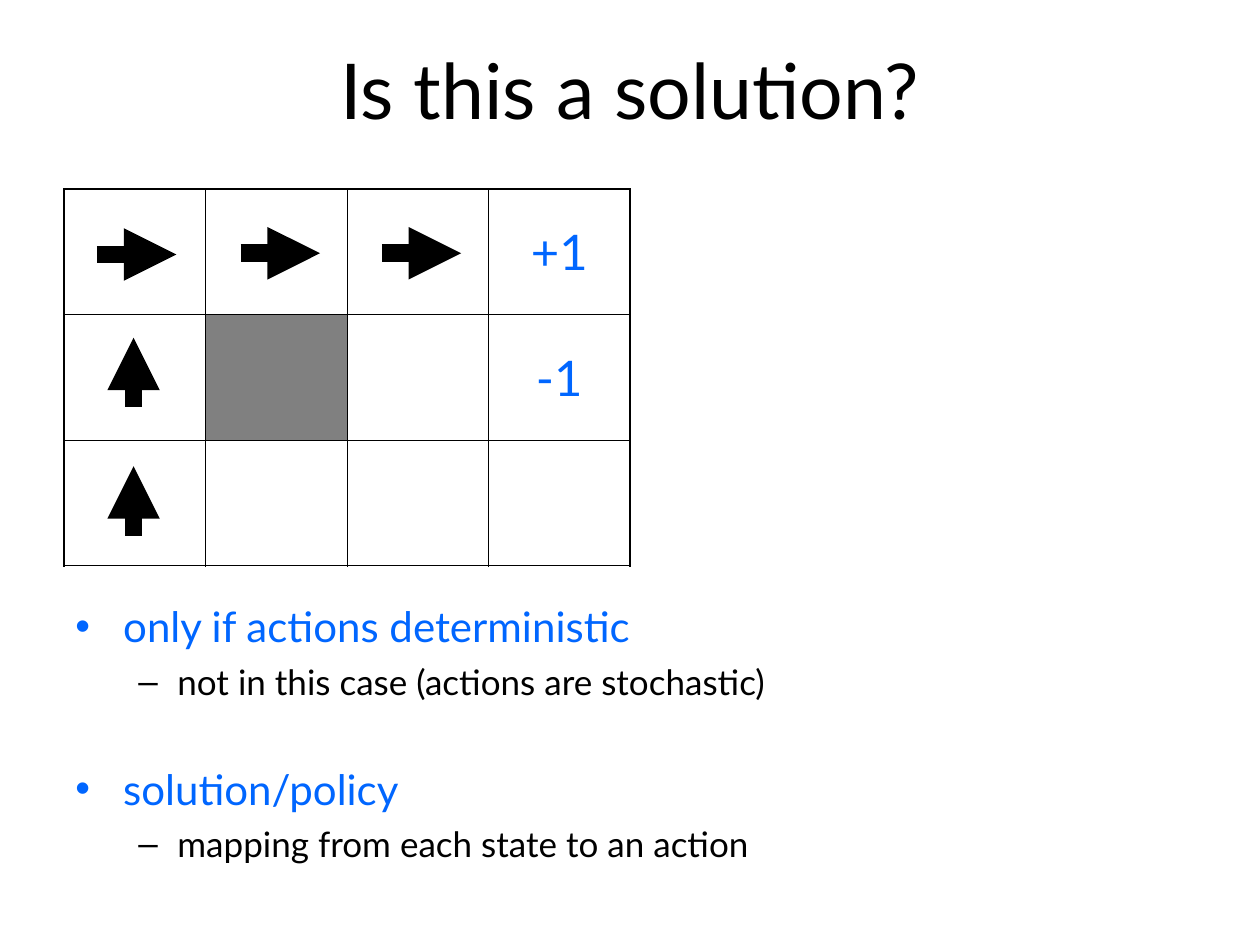
"""Build the slide that asks whether a grid-world plan is a solution."""
from lxml.etree import SubElement
from pptx import Presentation
from pptx.dml.color import RGBColor
from pptx.enum.shapes import MSO_CONNECTOR
from pptx.enum.text import MSO_ANCHOR, PP_ALIGN
from pptx.oxml.ns import qn
from pptx.util import Inches, Pt

COLORS = {"black": "000000", "blue": "0066FF", "wall": "808080"}
FONT = "Lato"
ROWS, COLS = 3, 4


def add_text(paragraph, text, size, color):
    run = paragraph.add_run()
    run.text = text
    run.font.name = FONT
    run.font.size = Pt(size)
    run.font.color.rgb = RGBColor.from_string(COLORS[color])


def add_border(cell, side, width):
    border = SubElement(cell._tc.get_or_add_tcPr(), qn(f"a:ln{side}"), w=str(Pt(width)))
    fill = SubElement(border, qn("a:solidFill"))
    SubElement(fill, qn("a:srgbClr"), val=COLORS["black"])


prs = Presentation()
prs.slide_width, prs.slide_height = Inches(10), Inches(7.5)
slide = prs.slides.add_slide(prs.slide_layouts[5])

title = slide.shapes.title
title.left, title.top = Inches(0.5), Inches(0.08)
title.width, title.height = Inches(9), Inches(1.25)
title.text_frame.vertical_anchor = MSO_ANCHOR.MIDDLE
question = title.text_frame.paragraphs[0]
question.alignment = PP_ALIGN.CENTER
add_text(question, "Is this a solution?", 44, "black")

world = slide.shapes.add_table(
    ROWS, COLS, Inches(0.51), Inches(1.5), Inches(4.49), Inches(2.99)
).table
world.first_row = world.horz_banding = False
rewards = {(0, 3): "+1", (1, 3): "-1"}
for row in range(ROWS):
    for col in range(COLS):
        state = world.cell(row, col)
        outer_edges = {"L": col == 0, "R": col == COLS - 1, "T": row == 0, "B": row == ROWS - 1}
        for side, is_outer in outer_edges.items():
            add_border(state, side, 1.08 if is_outer else 0.45)
        if (row, col) == (1, 1):
            state.fill.solid()
            state.fill.fore_color.rgb = RGBColor.from_string(COLORS["wall"])
        else:
            state.fill.background()
        if (row, col) in rewards:
            state.vertical_anchor = MSO_ANCHOR.MIDDLE
            reward = state.text_frame.paragraphs[0]
            reward.alignment = PP_ALIGN.CENTER
            add_text(reward, rewards[row, col], 28, "blue")

moves = [
    (0.77, 2.02, 1.4, 2.02),
    (1.06, 4.25, 1.06, 3.7),
    (1.91, 2.01, 2.54, 2.01),
    (3.03, 2.01, 3.66, 2.01),
    (1.06, 3.23, 1.06, 2.68),
]
for ends in moves:
    move = slide.shapes.add_connector(MSO_CONNECTOR.STRAIGHT, *map(Inches, ends))
    move.line.width = Pt(10)
    move.line.color.rgb = RGBColor.from_string(COLORS["black"])
    SubElement(move.line._get_or_add_ln(), qn("a:tailEnd"), type="triangle")
    SubElement(move._element.spPr, qn("a:effectLst"))

answer = slide.shapes.add_textbox(
    Inches(0.5), Inches(4.72), Inches(9), Inches(2.4)
).text_frame
answer.word_wrap = True
levels = [("•", 24, "blue", 0.38, 0.38), ("–", 20, "black", 0.81, 0.31)]
points = [
    ("only if actions deterministic", 0, 0),
    ("not in this case (actions are stochastic)", 1, 5),
    ("solution/policy", 0, 35),
    ("mapping from each state to an action", 1, 5),
]
for index, (text, level, space) in enumerate(points):
    bullet, size, color, margin, hanging = levels[level]
    point = answer.add_paragraph() if index else answer.paragraphs[0]
    point.level = level
    point.space_before = Pt(space)
    properties = point._p.get_or_add_pPr()
    properties.set("marL", str(Inches(margin)))
    properties.set("indent", str(-Inches(hanging)))
    bullet_color = SubElement(properties, qn("a:buClr"))
    SubElement(bullet_color, qn("a:srgbClr"), val=COLORS[color])
    SubElement(properties, qn("a:buFont"), typeface="Arial")
    SubElement(properties, qn("a:buChar"), char=bullet)
    add_text(point, text, size, color)

prs.save("out.pptx")
